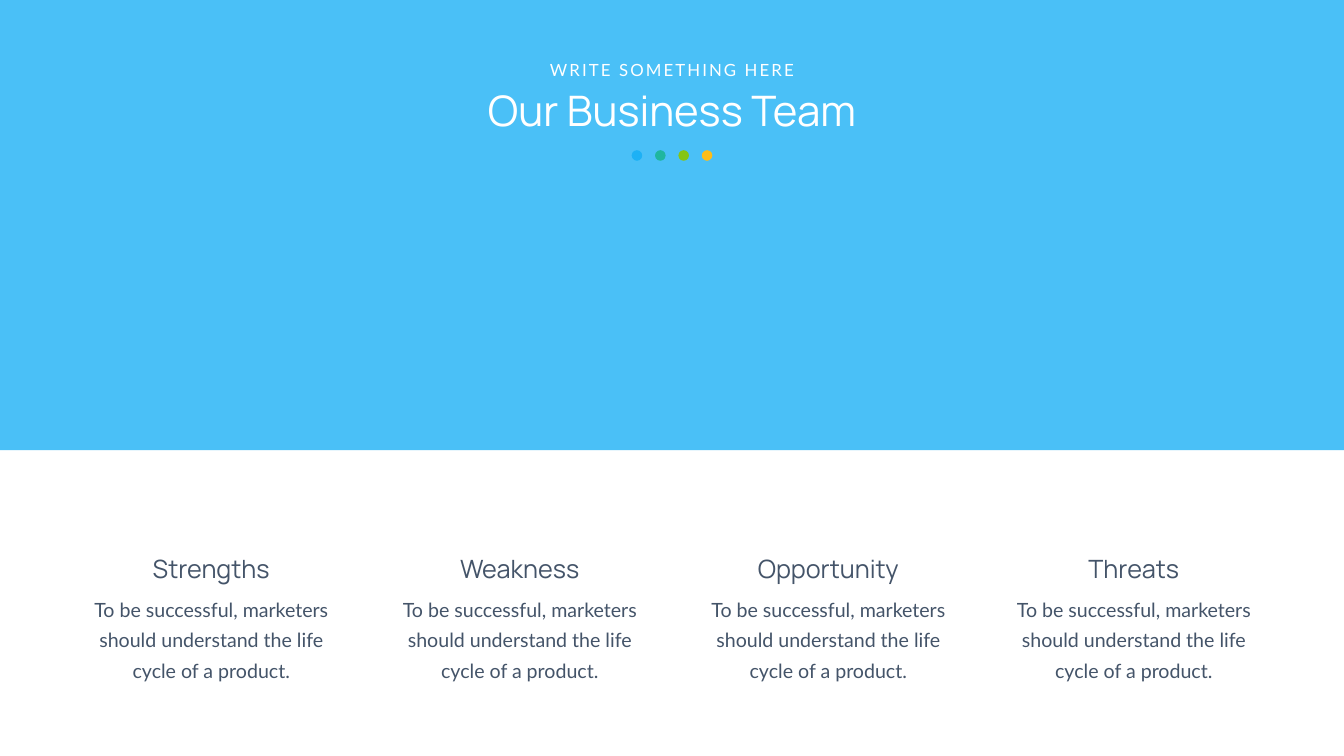
"""Build the business team slide with four SWOT columns."""
from dataclasses import dataclass

from lxml import etree
from pptx import Presentation
from pptx.dml.color import RGBColor
from pptx.enum.shapes import MSO_SHAPE
from pptx.enum.text import MSO_ANCHOR, MSO_AUTO_SIZE, PP_ALIGN
from pptx.oxml.ns import qn
from pptx.util import Inches, Pt

RECTANGLE, OVAL = MSO_SHAPE.RECTANGLE, MSO_SHAPE.OVAL
TOP, CENTER, FIXED = MSO_ANCHOR.TOP, PP_ALIGN.CENTER, MSO_AUTO_SIZE.NONE
TITLE_ONLY = 5


@dataclass(frozen=True)
class Theme:
    """Colours, fonts and type sizes of the slide."""

    white: str = "FFFFFF"
    ink: str = "445469"
    blue: str = "1DB1F5"
    teal: str = "1FB69F"
    green: str = "85C515"
    amber: str = "FEBD17"
    display: str = "Manrope"
    text: str = "Lato"
    title_size: int = 60
    heading_size: int = 36
    body_size: int = 28
    kicker_size: int = 24
    body_leading: int = 43
    kicker_tracking: int = 3


class SlideBuilder:
    """Draws styled elements on the current slide."""

    def __init__(self, slide, theme):
        self.slide = slide
        self.theme = theme

    def shape(self, preset, box, color, opacity=100):
        """Add a borderless filled shape."""
        shape = self.slide.shapes.add_shape(preset, *map(Inches, box))
        shape.shadow.inherit = False
        shape.line.fill.background()
        shape.fill.solid()
        shape.fill.fore_color.rgb = RGBColor.from_string(color)
        if opacity < 100:
            srgb = next(shape.element.iter(qn("a:srgbClr")))
            etree.SubElement(srgb, qn("a:alpha"), val=str(opacity * 1000))

    def set_text(self, holder, wording, font, size, color, inset=0):
        """Fill a holder with one centred paragraph and return it."""
        frame = holder.text_frame
        frame.text = wording
        frame.word_wrap = True
        frame.auto_size = FIXED
        frame.vertical_anchor = TOP
        frame.margin_left = frame.margin_right = Inches(0.05)
        frame.margin_top = frame.margin_bottom = Inches(inset)
        paragraph = frame.paragraphs[0]
        paragraph.alignment = CENTER
        paragraph.font.name = font
        paragraph.font.size = Pt(size)
        paragraph.font.color.rgb = RGBColor.from_string(color)
        return paragraph

    def title(self, wording, box):
        """Place the title placeholder in front of the band."""
        title = self.slide.shapes.title
        title.left, title.top, title.width, title.height = map(Inches, box)
        title.element.getparent().append(title.element)
        theme = self.theme
        self.set_text(title, wording, theme.display, theme.title_size, theme.white)

    def text(self, wording, box, font, size, color, inset=0):
        """Add a text box and return its paragraph."""
        holder = self.slide.shapes.add_textbox(*map(Inches, box))
        return self.set_text(holder, wording, font, size, color, inset)

    def kicker(self, wording, box):
        """Add the letter-spaced line above the title."""
        theme = self.theme
        paragraph = self.text(wording, box, theme.text, theme.kicker_size, theme.white, 0.05)
        properties = paragraph.runs[0].font
        properties.size = Pt(theme.kicker_size)
        run_style = next(self.slide.shapes[-1].element.iter(qn("a:rPr")))
        run_style.set("spc", str(theme.kicker_tracking * 100))

    def column(self, heading, body, left, width=4.88):
        """Add a heading with its description below."""
        theme = self.theme
        self.text(heading, (left, 10.98, width, 0.71),
                  theme.display, theme.heading_size, theme.ink)
        description = self.text(body, (left, 11.71, width, 1.84),
                                theme.text, theme.body_size, theme.ink, 0.03)
        description.line_spacing = Pt(theme.body_leading)


def main():
    """Compose and save the slide."""
    deck = Presentation()
    deck.slide_width, deck.slide_height = Inches(26.66), Inches(15)
    theme = Theme()
    builder = SlideBuilder(deck.slides.add_slide(deck.slide_layouts[TITLE_ONLY]), theme)

    builder.shape(RECTANGLE, (0, 0, 26.66, 8.93), theme.blue, opacity=80)
    builder.title("Our Business Team", (5.3, 1.68, 16.06, 1.11))
    builder.kicker("WRITE SOMETHING HERE", (10.76, 1.13, 5.14, 0.5))
    dot_colors = (theme.blue, theme.teal, theme.green, theme.amber)
    for index, color in enumerate(dot_colors):
        builder.shape(OVAL, (12.53 + index * 1.39 / 3, 2.98, 0.21, 0.21), color)

    description = "To be successful, marketers should understand the life cycle of a product."
    columns = {"Strengths": 1.75, "Weakness": 7.87, "Opportunity": 13.99, "Threats": 20.05}
    for heading, left in columns.items():
        builder.column(heading, description, left)

    deck.save("out.pptx")


if __name__ == "__main__":
    main()
